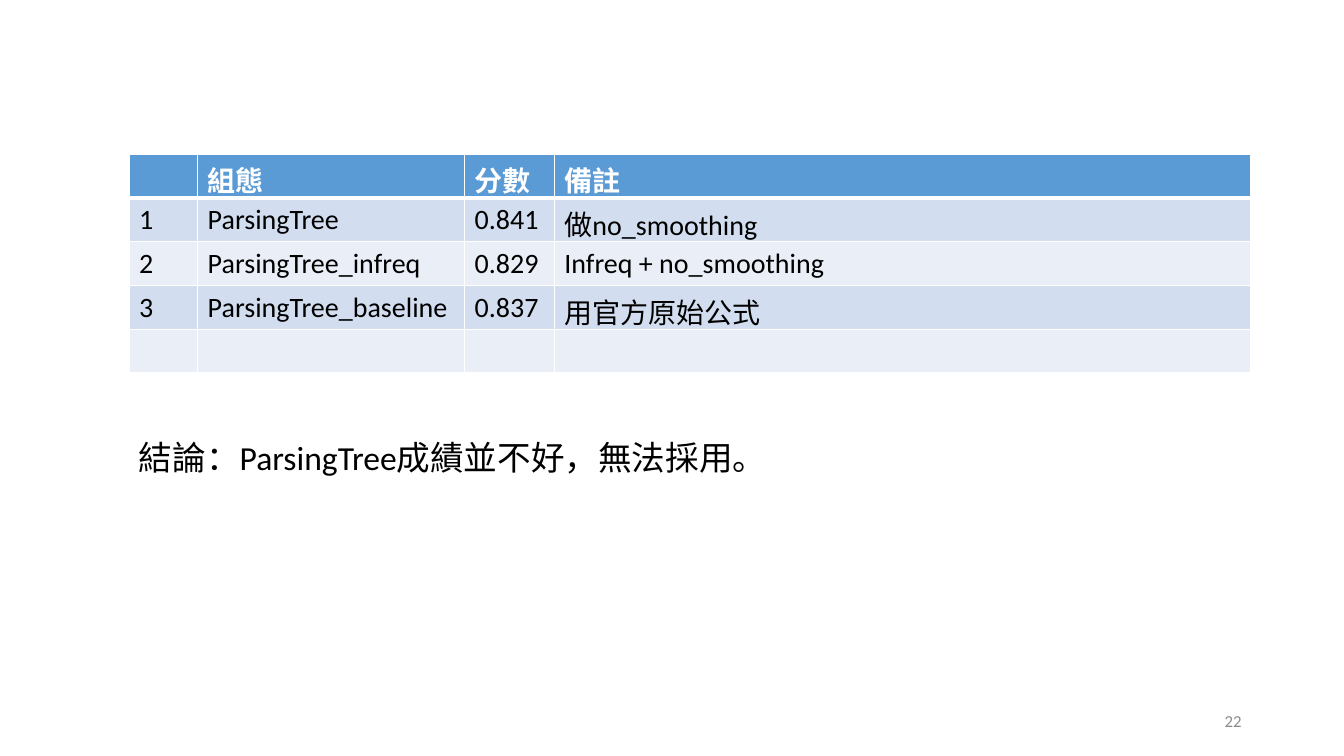
from dataclasses import dataclass

from lxml import etree
from pptx import Presentation
from pptx.dml.color import RGBColor
from pptx.enum import text as text_enum
from pptx.oxml import ns
from pptx.util import Cm, Pt


@dataclass(frozen=True)
class Theme:
    font: str = "Calibri"
    black: str = "000000"
    white: str = "FFFFFF"
    grey: str = "8C8C8C"
    header: str = "5B9BD5"
    bands: tuple = ("D2DEEF", "EAEFF7")
    table_size: int = 20
    conclusion_size: int = 24
    number_size: int = 12
    border: int = 1
    header_border: int = 3


THEME = Theme()
COLUMN_WIDTHS = (1.73, 6.73, 2.26, 17.55)
ROW_HEIGHT = 1.1
ROWS = (
    ("", "組態", "分數", "備註"),
    ("1", "ParsingTree", "0.841", "做no_smoothing"),
    ("2", "ParsingTree_infreq", "0.829", "Infreq + no_smoothing"),
    ("3", "ParsingTree_baseline", "0.837", "用官方原始公式"),
    ("", "", "", ""),
)


def write_text(frame, content, size, color=THEME.black, bold=False,
               align=text_enum.PP_ALIGN.LEFT, line_spacing=None):
    paragraph = frame.paragraphs[0]
    paragraph.alignment = align
    if line_spacing:
        paragraph.line_spacing = Pt(line_spacing)
    if not content:
        paragraph.font.size = Pt(size)
        return
    run = paragraph.add_run()
    run.text = content
    run.font.name = THEME.font
    run.font.size = Pt(size)
    run.font.bold = bold
    run.font.color.rgb = RGBColor.from_string(color)


def add_text_box(slide, box, content, anchor=text_enum.MSO_ANCHOR.TOP, **text_format):
    frame = slide.shapes.add_textbox(*map(Cm, box)).text_frame
    frame.word_wrap = True
    frame.vertical_anchor = anchor
    write_text(frame, content, **text_format)


def set_borders(cell, widths):
    properties = cell._tc.get_or_add_tcPr()
    for index, (side, width) in enumerate(widths.items()):
        line = etree.Element(ns.qn(f"a:ln{side}"), w=str(Pt(width)))
        fill = etree.SubElement(line, ns.qn("a:solidFill"))
        etree.SubElement(fill, ns.qn("a:srgbClr"), val=THEME.white)
        properties.insert(index, line)


def add_score_table(slide, box):
    table = slide.shapes.add_table(len(ROWS), len(COLUMN_WIDTHS), *map(Cm, box)).table
    for column, width in zip(table.columns, COLUMN_WIDTHS):
        column.width = Cm(width)
    for row_index, values in enumerate(ROWS):
        table.rows[row_index].height = Cm(ROW_HEIGHT)
        is_header = row_index == 0
        fill = THEME.header if is_header else THEME.bands[(row_index - 1) % 2]
        top = THEME.header_border if row_index == 1 else THEME.border
        bottom = THEME.header_border if is_header else THEME.border
        for column_index, value in enumerate(values):
            cell = table.cell(row_index, column_index)
            cell.fill.solid()
            cell.fill.fore_color.rgb = RGBColor.from_string(fill)
            if column_index == 1 and not is_header:
                cell.vertical_anchor = text_enum.MSO_ANCHOR.MIDDLE
            set_borders(cell, {"L": THEME.border, "R": THEME.border, "T": top, "B": bottom})
            write_text(cell.text_frame, value, size=THEME.table_size, bold=is_header,
                       color=THEME.white if is_header else THEME.black)


def add_conclusion(slide, box):
    add_text_box(slide, box, "結論：ParsingTree成績並不好，無法採用。",
                 size=THEME.conclusion_size, line_spacing=36)


def add_page_number(slide, box):
    add_text_box(slide, box, "22", anchor=text_enum.MSO_ANCHOR.MIDDLE,
                 size=THEME.number_size, color=THEME.grey, align=text_enum.PP_ALIGN.RIGHT)


def main():
    presentation = Presentation()
    presentation.slide_width = Cm(33.87)
    presentation.slide_height = Cm(19.05)
    slide = presentation.slides.add_slide(presentation.slide_layouts[6])
    add_page_number(slide, (23.92, 17.66, 7.62, 1.01))
    add_conclusion(slide, (3.25, 10.62, 27.56, 1.55))
    add_score_table(slide, (3.25, 3.89, sum(COLUMN_WIDTHS), ROW_HEIGHT * len(ROWS)))
    presentation.save("out.pptx")


if __name__ == "__main__":
    main()
